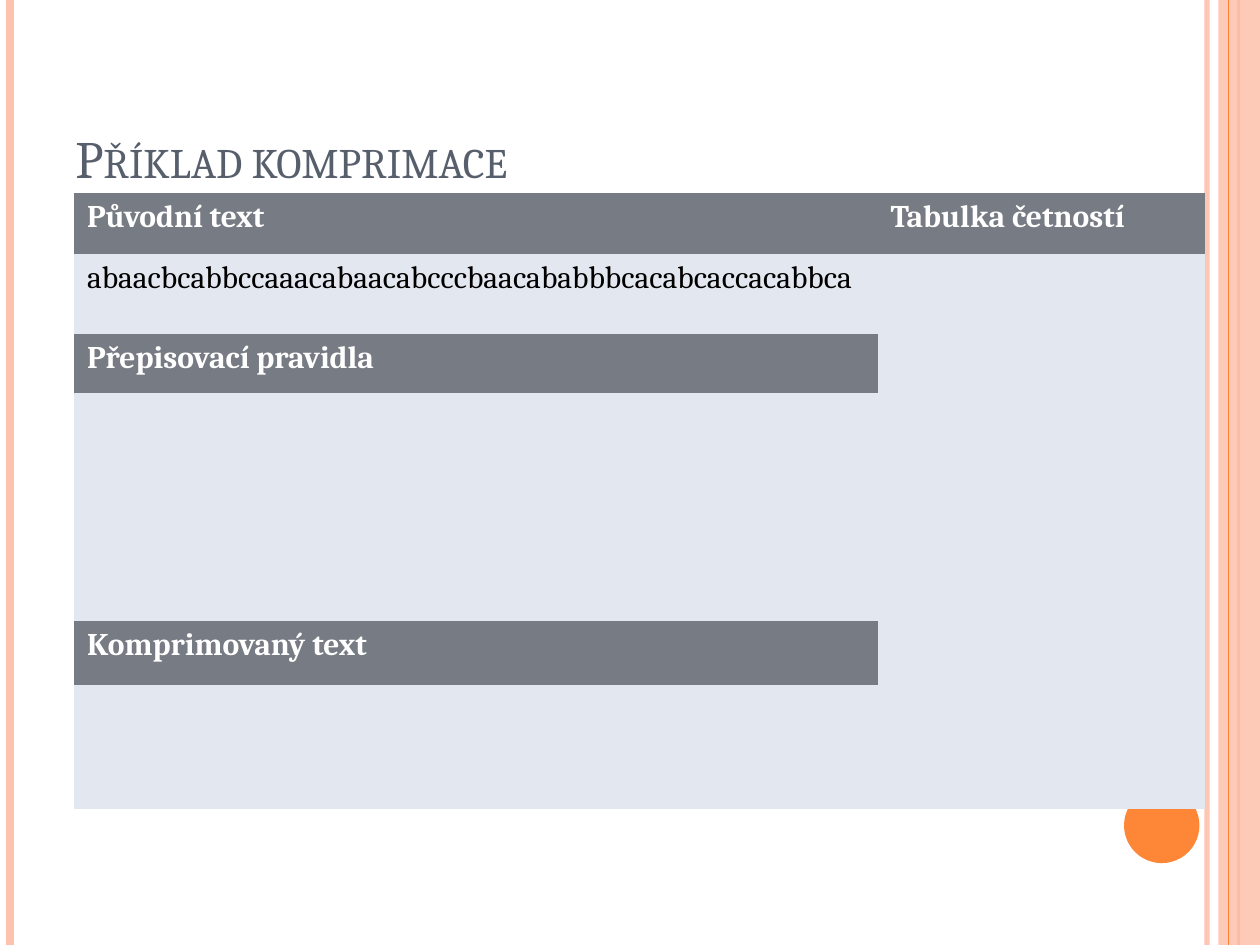
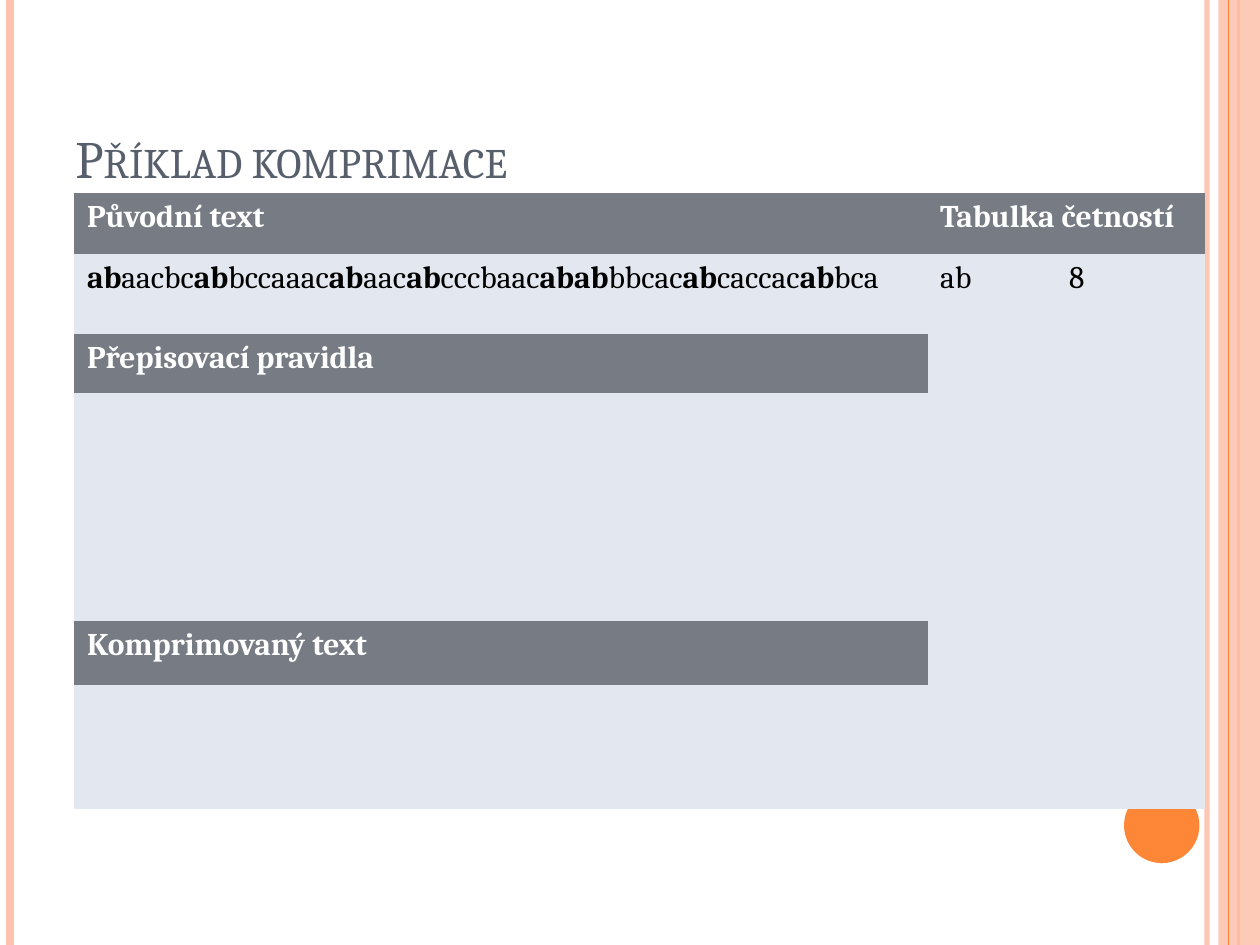
from pptx import Presentation
from pptx.dml.color import RGBColor
from pptx.enum.shapes import MSO_CONNECTOR as Connector, MSO_SHAPE as Shape
from pptx.enum.text import MSO_ANCHOR as Anchor
from pptx.oxml.ns import qn
from pptx.util import Cm, Pt
from lxml.etree import SubElement

PEACH, ORANGE, SLATE = "FEC3AE", "FE8637", "575F6D"
HEADER, BODY, WHITE, BLACK = "777C84", "E3E7EF", "FFFFFF", "000000"
FONT = "Cambria"
WIDTH, HEIGHT = 25.4, 19.05
TITLE_BOX = (1.27, 0.76, 20.75, 3.18)
TABLE_BOX = (1.5, 3.89, 22.8, 12.42)
ROW_HEIGHTS = (1.23, 1.61, 1.19, 4.6, 1.28, 2.51)
NO_GRID_STYLE = "{2D5ABB26-0587-4C30-8999-92F81FD0307C}"

SOURCE_TEXT = "abaacbcabbccaaacabaacabcccbaacababbbcacabcaccacabbca"
PAIR = "ab"


def color(hex_code):
    return RGBColor.from_string(hex_code)


def set_alpha(fill, percent):
    """Make a solid fill partly transparent."""
    tint = fill._xPr.find(qn("a:solidFill"))[0]
    SubElement(tint, qn("a:alpha"), val=str(percent * 1000))


def add_run(para, text, size, hex_code, bold=False):
    span = para.add_run()
    span.text = text
    span.font.name = FONT
    span.font.size = Pt(size)
    span.font.bold = bold
    span.font.color.rgb = color(hex_code)
    return span


def add_plain_shape(page, kind, box, hex_code):
    shape = page.shapes.add_shape(kind, *map(Cm, box))
    shape.shadow.inherit = False
    shape.fill.solid()
    shape.fill.fore_color.rgb = color(hex_code)
    shape.line.fill.background()
    return shape


def add_stripe(page, x, hex_code, points, alpha=100):
    """Draw a vertical line over the full height of the page."""
    stripe = page.shapes.add_connector(
        Connector.STRAIGHT, Cm(x), Cm(0), Cm(x), Cm(HEIGHT))
    stripe.line.width = Pt(points)
    stripe.line.color.rgb = color(hex_code)
    if alpha < 100:
        set_alpha(stripe.line.fill, alpha)
    SubElement(stripe._element.spPr, qn("a:effectLst"))


def add_frame(page):
    # Lines at the left and right edges
    add_stripe(page, 24.33, PEACH, 3, alpha=93)
    add_stripe(page, 0.21, PEACH, 4.5)
    add_stripe(page, 24.97, ORANGE, 1.5)
    # Right band with its thin line
    band = add_plain_shape(
        page, Shape.RECTANGLE, (24.56, 0, WIDTH - 24.56, HEIGHT), PEACH)
    set_alpha(band.fill, 87)
    add_stripe(page, 24.77, ORANGE, 0.75)
    # Dot in the lower corner
    add_plain_shape(page, Shape.OVAL, (22.66, 15.88, 1.52, 1.52), ORANGE)


def add_title(page, box, text):
    frame = page.shapes.add_textbox(*map(Cm, box)).text_frame
    frame.word_wrap = True
    frame.vertical_anchor = Anchor.BOTTOM
    span = add_run(frame.paragraphs[0], text, 30, SLATE)
    span.font._element.set("cap", "small")


def highlight(text, pair):
    """Split text into (piece, bold) runs, with every pair in bold."""
    first, *others = text.split(pair)
    runs = [(first, False)]
    for piece in others:
        runs += [(pair, True), (piece, False)]
    return [run for run in runs if run[0]]


def add_compression_table(page, box, first_width, text_runs, counts):
    """Text and rules on the left, frequency columns on the right."""
    left, top, width, height = box
    count_widths = [2.6] if counts else []
    widths = [first_width, *count_widths]
    widths.append(width - sum(widths))
    last = len(widths) - 1

    holder = page.shapes.add_table(
        len(ROW_HEIGHTS), len(widths), Cm(left), Cm(top), Cm(width), Cm(height))
    table = holder.table
    table._tbl.tblPr.find(qn("a:tableStyleId")).text = NO_GRID_STYLE
    for column, size in zip(table.columns, widths):
        column.width = Cm(size)
    for row, size in zip(table.rows, ROW_HEIGHTS):
        row.height = Cm(size)

    # Fills: headings alternate with bodies in the first column
    for r in range(len(ROW_HEIGHTS)):
        for c in range(len(widths)):
            heading = r == 0 or (c == 0 and r % 2 == 0)
            fill = table.cell(r, c).fill
            fill.solid()
            fill.fore_color.rgb = color(HEADER if heading else BODY)

    # Merged areas on the right
    if last > 1:
        table.cell(0, 1).merge(table.cell(0, last))
    for c in range(1, last + 1):
        table.cell(1, c).merge(table.cell(len(ROW_HEIGHTS) - 1, c))

    # Headings
    headings = {(0, 0): "Původní text", (0, 1): "Tabulka četností",
                (2, 0): "Přepisovací pravidla", (4, 0): "Komprimovaný text"}
    for (r, c), text in headings.items():
        para = table.cell(r, c).text_frame.paragraphs[0]
        add_run(para, text, 18, WHITE, bold=True)

    # Text to compress and its pair counts
    para = table.cell(1, 0).text_frame.paragraphs[0]
    for text, bold in text_runs:
        add_run(para, text, 18, BLACK, bold)
    for c, text in enumerate(counts, start=1):
        add_run(table.cell(1, c).text_frame.paragraphs[0], text, 18, BLACK)


def add_example_page(deck, first_width, text_runs, counts=()):
    page = deck.slides.add_slide(deck.slide_layouts[6])
    add_frame(page)
    add_title(page, TITLE_BOX, "Příklad komprimace")
    add_compression_table(page, TABLE_BOX, first_width, text_runs, counts)


deck = Presentation()
deck.slide_width, deck.slide_height = Cm(WIDTH), Cm(HEIGHT)
add_example_page(deck, 16.2, [(SOURCE_TEXT, False)])
add_example_page(deck, 17.2, highlight(SOURCE_TEXT, PAIR),
                 (PAIR, str(SOURCE_TEXT.count(PAIR))))
deck.save("out.pptx")
